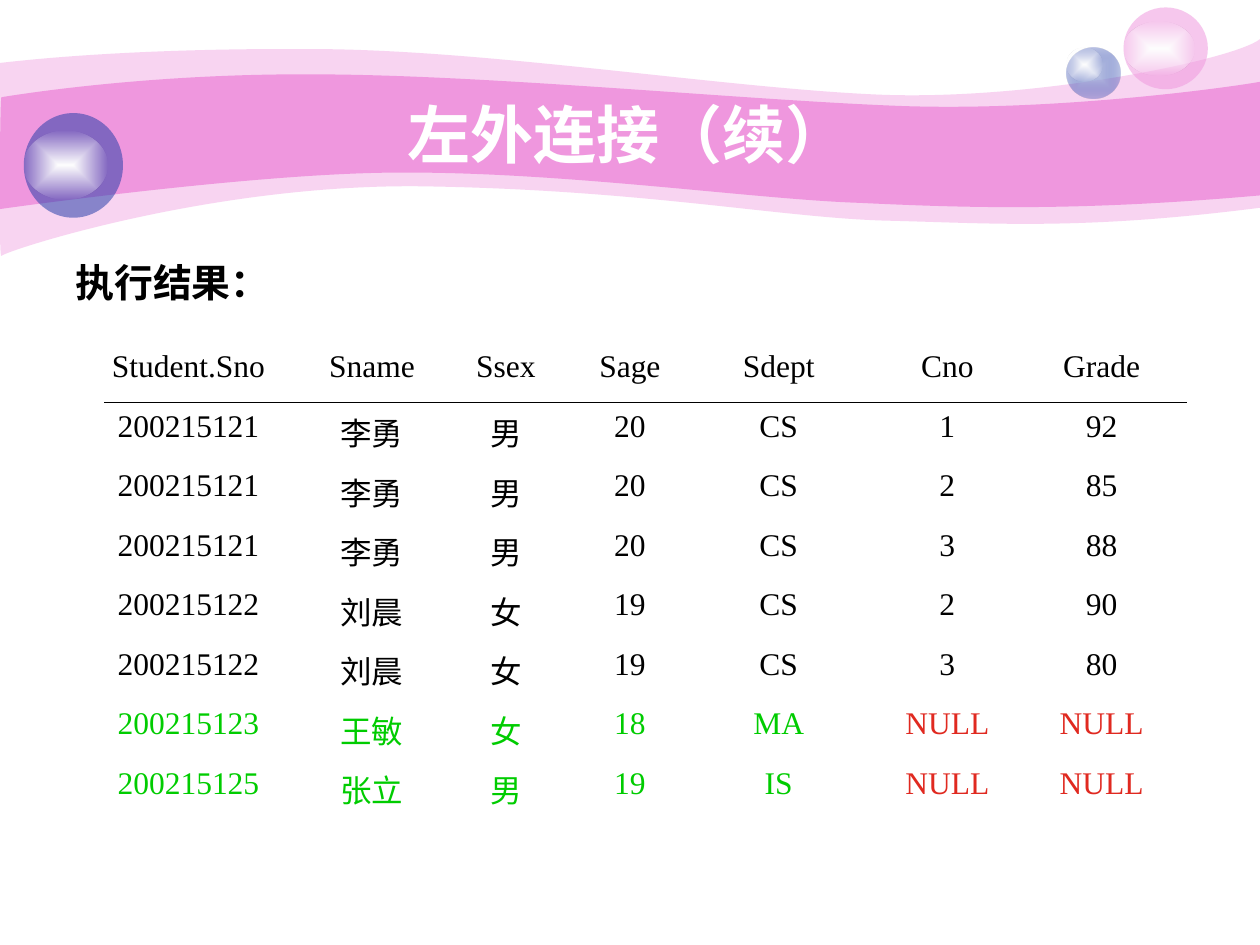
from dataclasses import dataclass

from lxml import etree
from pptx import Presentation
from pptx.dml.color import RGBColor
from pptx.enum import shapes, text
from pptx.oxml import ns, parse_xml
from pptx.util import Cm, Pt


@dataclass(frozen=True)
class Theme:
    pink: str = "EF97DE"
    blue: str = "233DA9"
    pale_blue: str = "C7CEE9"
    white: str = "FFFFFF"
    black: str = "000000"
    green: str = "00CC00"
    red: str = "E02920"
    heading_font: str = "Arial"
    table_font: str = "Times New Roman"
    title_size: float = 36
    lead_size: float = 22.2
    table_size: float = 18


THEME = Theme()

# Each outline: start, then segments of one point (line) or three (Bézier), cm in the band.
OUTER_WAVE = (
    (0, 0.48),
    [((0.61, 0.41), (2.72, 0.18), (6.27, 0.2)),
     ((9.8, 0.2), (14.6, 0.99), (17.75, 1.12)),
     ((20.88, 1.24), (24.89, 0.41), (25.4, 0)),
     ((25.4, 3.4),),
     ((21.79, 3.86), (19.99, 3.71), (17.91, 3.66)),
     ((15.8, 3.61), (13.08, 3.05), (8.71, 2.97)),
     ((4.37, 2.87), (0.1, 4.27), (0.03, 4.37)),
     ((-0.03, 4.5), (0, 1.12), (0, 0.48))],
)
INNER_WAVE = (
    (0.03, 1.17),
    [((0.05, 1.17), (2.79, 0.69), (6.3, 0.71)),
     ((9.8, 0.71), (15.11, 1.24), (18.24, 1.35)),
     ((21.36, 1.45), (24.79, 0.97), (25.4, 0.86)),
     ((25.4, 3.15),),
     ((21.67, 3.48), (19.43, 3.4), (17.32, 3.3)),
     ((15.21, 3.23), (11.35, 2.67), (8.05, 2.69)),
     ((5.16, 2.69), (-0.05, 3.43), (-0.03, 3.43)),
     ((0, 3.43), (0, 1.17), (0.03, 1.17))],
)

COLUMN_WIDTHS = [4.6, 2.8, 2.6, 2.4, 3.6, 3.2, 3.02]
HEADER = ["Student.Sno", "Sname", "Ssex", "Sage", "Sdept", "Cno", "Grade"]
LI_YONG = ["200215121", "李勇", "男", "20", "CS"]
LIU_CHEN = ["200215122", "刘晨", "女", "19", "CS"]
MATCHED = [
    LI_YONG + ["1", "92"],
    LI_YONG + ["2", "85"],
    LI_YONG + ["3", "88"],
    LIU_CHEN + ["2", "90"],
    LIU_CHEN + ["3", "80"],
]
UNMATCHED = [
    ["200215123", "王敏", "女", "18", "MA", "NULL", "NULL"],
    ["200215125", "张立", "男", "19", "IS", "NULL", "NULL"],
]


def color_xml(color, alpha):
    return f'<a:srgbClr val="{color}"><a:alpha val="{alpha * 1000}"/></a:srgbClr>'


def paint(shape, fill_xml):
    """Give the shape a DrawingML fill, with no outline or shadow."""
    shape.shadow.inherit = False
    shape.line.fill.background()
    shape.fill.background()
    no_fill = shape.element.spPr.find(ns.qn("a:noFill"))
    no_fill.getparent().replace(no_fill, parse_xml(fill_xml))


def solid(color, alpha=100):
    return f'<a:solidFill {ns.nsdecls("a")}>{color_xml(color, alpha)}</a:solidFill>'


def glow(center, edge, edge_alpha):
    """Fill that runs from the middle to the edge."""
    return (
        f'<a:gradFill {ns.nsdecls("a")} rotWithShape="1"><a:gsLst>'
        f'<a:gs pos="0">{color_xml(center, 100)}</a:gs>'
        f'<a:gs pos="100000">{color_xml(edge, edge_alpha)}</a:gs></a:gsLst>'
        '<a:path path="rect"><a:fillToRect l="50000" t="50000" r="50000" b="50000"/>'
        '</a:path></a:gradFill>'
    )


def add_wave(slide, left, top, outline, fill_xml):
    """Build the outline from its end points, then bend its lines into curves."""
    start, segments = outline

    def place(point):
        return Cm(left + point[0]), Cm(top + point[1])

    builder = slide.shapes.build_freeform(*place(start))
    builder.add_line_segments([place(segment[-1]) for segment in segments], close=True)
    wave = builder.convert_to_shape()
    lines = list(wave.element.spPr.iter(ns.qn("a:lnTo")))
    for line, segment in zip(lines, segments):
        if len(segment) == 1:
            continue
        curve = etree.Element(ns.qn("a:cubicBezTo"))
        for x, y in map(place, segment):
            etree.SubElement(curve, ns.qn("a:pt"), x=str(x - wave.left), y=str(y - wave.top))
        line.getparent().replace(line, curve)
    paint(wave, fill_xml)


def add_orb(slide, left, top, width, height, body_fill, highlight):
    """Ball with a white glow; highlight gives top, width and height as shares."""
    group = slide.shapes.add_group_shape()
    shift, wide, high = highlight
    ovals = (
        (top, width, height, body_fill),
        (top + shift * height, wide * width, high * height, glow(THEME.white, THEME.white, 0)),
    )
    for y, w, h, fill_xml in ovals:
        oval = group.shapes.add_shape(
            shapes.MSO_SHAPE.OVAL, Cm(left), Cm(y), Cm(w), Cm(h))
        paint(oval, fill_xml)


def add_banner(slide, left, top):
    add_wave(slide, left, top, OUTER_WAVE, solid(THEME.pink, 41))
    add_wave(slide, left, top, INNER_WAVE, solid(THEME.pink))
    broad = (0.17, 0.84, 0.66)
    add_orb(slide, left + 21.5, top + 0.17, 1.08, 1.02,
            glow(THEME.pale_blue, THEME.blue, 31), (0, 0.67, 0.67))
    add_orb(slide, left + 22.65, top - 0.64, 1.7, 1.65, solid(THEME.pink, 53), broad)
    add_orb(slide, left + 0.48, top + 1.49, 2, 2.11, solid(THEME.blue, 53), broad)


def style(paragraph, font_name, size, color, align, bold=False):
    paragraph.alignment = align
    font = paragraph.font
    font.name, font.size, font.bold = font_name, Pt(size), bold
    font.color.rgb = RGBColor.from_string(color)


def add_heading(slide, left, top, width, height, words, size, color, align, anchor):
    frame = slide.shapes.add_textbox(Cm(left), Cm(top), Cm(width), Cm(height)).text_frame
    frame.word_wrap = True
    frame.vertical_anchor = anchor
    frame.text = words
    style(frame.paragraphs[0], THEME.heading_font, size, color, align, bold=True)


def add_result_table(slide, left, top, row_height):
    rows = [HEADER, *MATCHED, *UNMATCHED]
    width = sum(COLUMN_WIDTHS)
    table = slide.shapes.add_table(
        len(rows), len(HEADER), Cm(left), Cm(top),
        Cm(width), Cm(row_height * len(rows))).table
    table.first_row = table.horz_banding = False
    for column, column_width in zip(table.columns, COLUMN_WIDTHS):
        column.width = Cm(column_width)
    for r, values in enumerate(rows):
        row_color = THEME.green if values in UNMATCHED else THEME.black
        for c, value in enumerate(values):
            cell = table.cell(r, c)
            cell.fill.background()
            cell.text = value
            style(cell.text_frame.paragraphs[0], THEME.table_font, THEME.table_size,
                  THEME.red if value == "NULL" else row_color, text.PP_ALIGN.CENTER)
    rule_y = Cm(top + row_height)
    rule = slide.shapes.add_connector(
        shapes.MSO_CONNECTOR.STRAIGHT, Cm(left + 0.6), rule_y, Cm(left + width + 0.2), rule_y)
    rule.line.width = Pt(0.75)
    rule.line.color.rgb = RGBColor.from_string(THEME.black)
    rule.element.spPr.append(parse_xml(f'<a:effectLst {ns.nsdecls("a")}/>'))


def main():
    deck = Presentation()
    deck.slide_width, deck.slide_height = Cm(25.4), Cm(19.05)
    slide = deck.slides.add_slide(deck.slide_layouts[6])
    add_banner(slide, 0, 0.79)
    add_heading(slide, 2.54, 1.9, 20.52, 1.58, "左外连接（续） ", THEME.title_size,
                THEME.white, text.PP_ALIGN.CENTER, text.MSO_ANCHOR.MIDDLE)
    add_heading(slide, 1.27, 5.1, 11.23, 1.25, "执行结果： ", THEME.lead_size,
                THEME.black, text.PP_ALIGN.JUSTIFY, text.MSO_ANCHOR.TOP)
    add_result_table(slide, 1.5, 6.92, 1.2)
    deck.save("out.pptx")


if __name__ == "__main__":
    main()
